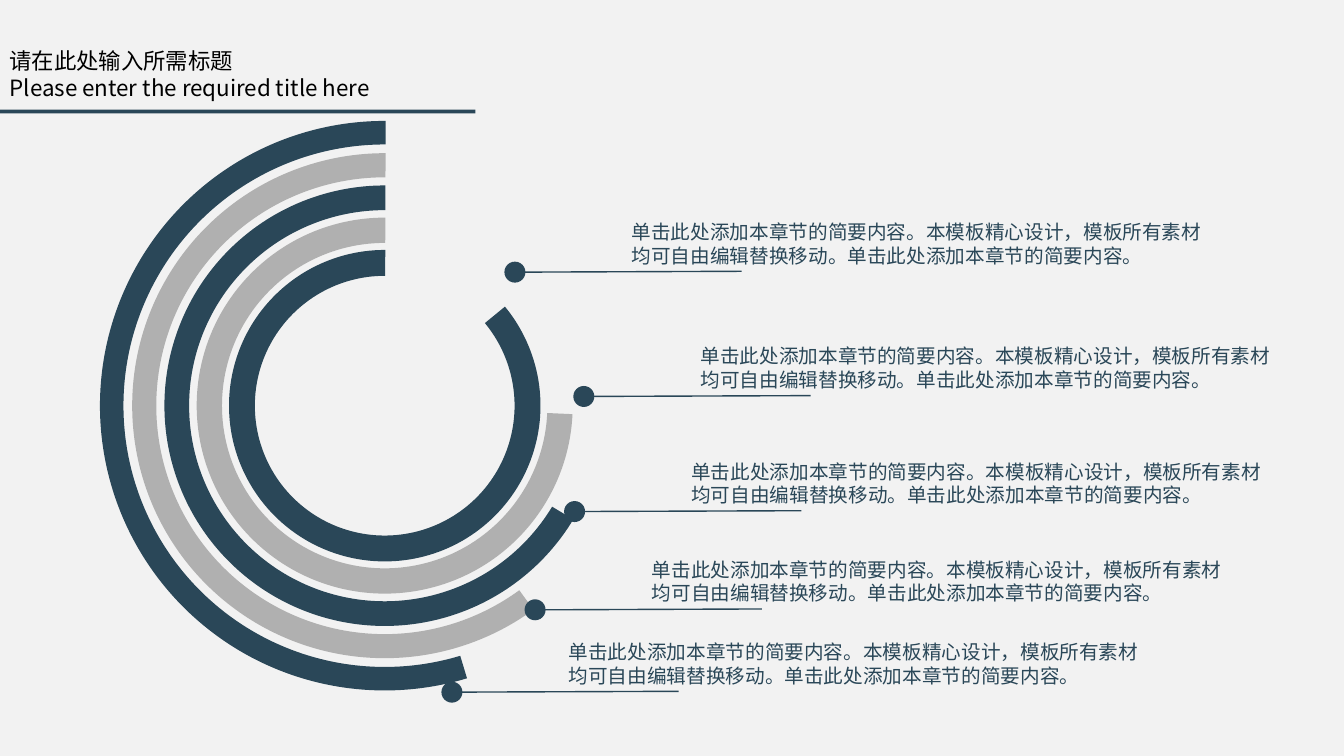
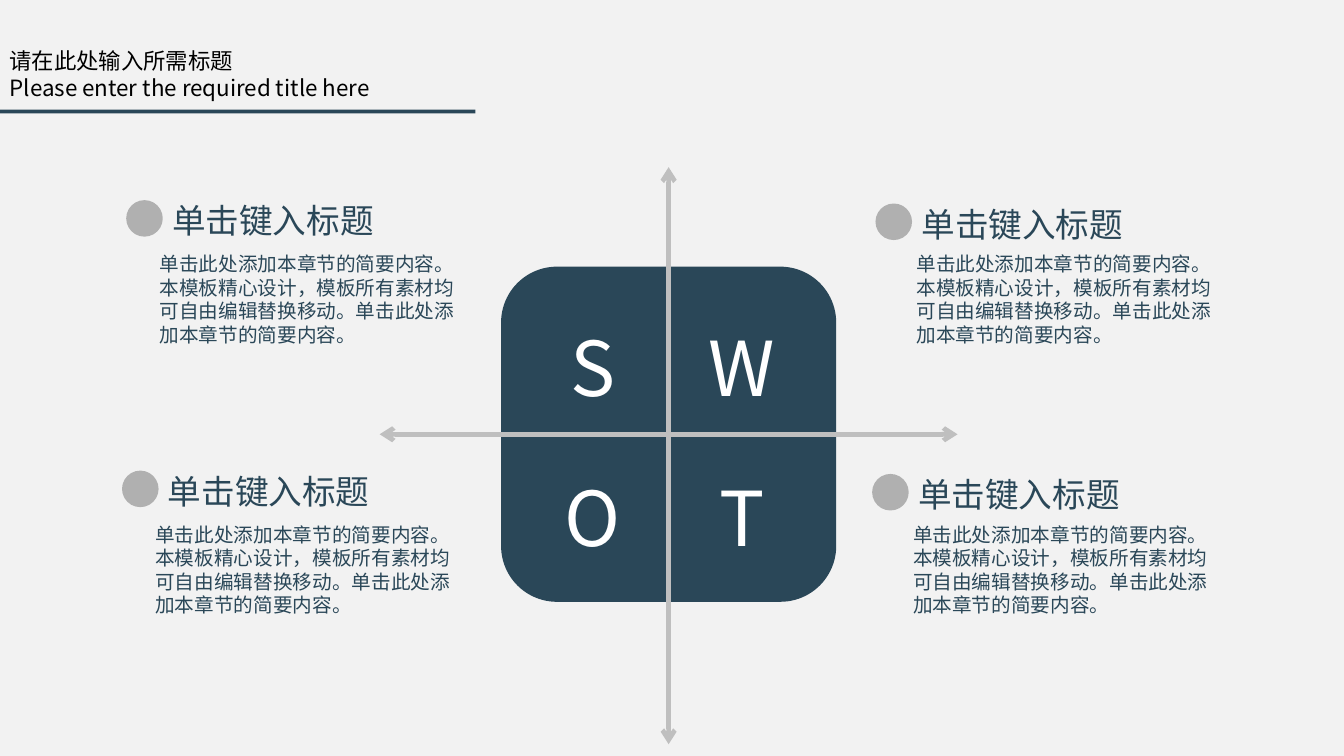
from dataclasses import dataclass

from pptx import Presentation
from pptx.dml.color import RGBColor
from pptx.enum.shapes import MSO_CONNECTOR as LINK, MSO_SHAPE as SHAPE
from pptx.enum.text import MSO_ANCHOR as ANCHOR, PP_ALIGN as ALIGN
from pptx.oxml.ns import qn
from pptx.util import Inches, Pt
from lxml.etree import SubElement as sub


@dataclass(frozen=True)
class Theme:
    back: str = "F2F2F2"
    dark: str = "2A4758"
    gray: str = "B0B0B0"
    axis: str = "BFBFBF"
    ink: str = "000000"
    white: str = "FFFFFF"
    font: str = "Noto Sans CJK SC"
    title: int = 16
    body: int = 14
    head: int = 24
    mark: int = 54
    lead: float = 1.2  # line pitch, in type sizes


T = Theme()
COLS, ROWS = 160, 90  # square cells over the whole slide
WIDE, HIGH = Inches(13.33), Inches(7.5)

TITLE = ["请在此处输入所需标题", "Please enter the required title here"]
HEAD = "单击键入标题"
BODY = ("单击此处添加本章节的简要内容。本模板精心设计，模板所有素材"
        "均可自由编辑替换移动。单击此处添加本章节的简要内容。")


def col(n):
    return round(WIDE * n / COLS)


def row(n):
    return round(HIGH * n / ROWS)


def rgb(code):
    return RGBColor.from_string(code)


# Kinds of element
def text(slide, x, y, w, h, lines, size=T.body, color=T.dark,
         align=ALIGN.LEFT, anchor=ANCHOR.TOP):
    frame = slide.shapes.add_textbox(col(x), row(y), col(w), row(h)).text_frame
    frame.word_wrap = True
    frame.vertical_anchor = anchor
    frame.margin_left = frame.margin_right = 0
    frame.margin_top = frame.margin_bottom = 0
    for i, line in enumerate(lines):
        para = frame.paragraphs[0] if i == 0 else frame.add_paragraph()
        para.alignment = align
        para.line_spacing = Pt(size * T.lead)
        run = para.add_run()
        run.text = line
        run.font.size, run.font.name = Pt(size), T.font
        run.font.color.rgb = rgb(color)
        sub(run.font._element, qn("a:ea"), typeface=T.font)


def shape(slide, kind, x, y, w, h, color):
    item = slide.shapes.add_shape(kind, col(x), row(y), col(w), row(h))
    item.shadow.inherit = False
    item.fill.solid()
    item.fill.fore_color.rgb = rgb(color)
    item.line.fill.background()
    return item


def disc(slide, cx, cy, size, color, kind=SHAPE.OVAL):
    return shape(slide, kind, cx - size / 2, cy - size / 2, size, size, color)


def ring(slide, cx, cy, size, band, start, color):
    arc = disc(slide, cx, cy, size, color, SHAPE.BLOCK_ARC)
    # angles are stored in 60000ths of a degree, read here in 100000ths
    arc.adjustments[0] = start * 0.6
    arc.adjustments[1] = 270.2 * 0.6
    arc.adjustments[2] = band / size


def line(slide, x1, y1, x2, y2, color, width, arrows=False):
    link = slide.shapes.add_connector(LINK.STRAIGHT, col(x1), row(y1),
                                      col(x2), row(y2))
    link.line.color.rgb = rgb(color)
    link.line.width = Pt(width)
    if arrows:
        for end in ("a:headEnd", "a:tailEnd"):
            sub(link.line._get_or_add_ln(), qn(end), type="arrow")
    sub(link._element.spPr, qn("a:effectLst"))


def page(deck):
    slide = deck.slides.add_slide(deck.slide_layouts[6])
    shape(slide, SHAPE.RECTANGLE, 0, 13.05, 56.6, 0.45, T.dark)
    text(slide, 1.15, 5.6, 50, 6.4, TITLE, size=T.title, color=T.ink)
    return slide


def note(slide, cx, cy):
    disc(slide, cx, cy, 2.5, T.dark)
    line(slide, cx, cy, cx + 27, cy - 0.1, T.dark, 1)
    text(slide, cx + 13.9, cy - 6.2, 69, 5.6, [BODY])


# Slides
def rings(deck):
    slide = page(deck)
    for i, start in enumerate([73.2, 53.9, 31.1, 2.6, 320.5]):
        ring(slide, 45.8, 48.3, 67.8 - 7.68 * i, 2.8 + 0.07 * i, start,
             T.gray if i % 2 else T.dark)
    for spot in [(61.3, 32.4), (69.5, 47.2), (68.4, 60.9),
                 (63.7, 72.6), (53.8, 82.4)]:
        note(slide, *spot)


def swot(deck):
    slide = page(deck)
    mx, my = 79.6, 51.7
    disc(slide, mx, my, 39.9, T.dark, SHAPE.ROUNDED_RECTANGLE)
    line(slide, 45.2, my, 114, my, T.axis, 3.25, arrows=True)
    line(slide, mx, 88.6, mx, 19.9, T.axis, 3.25, arrows=True)
    # letters, one to a quarter
    for i, mark in enumerate("SWOT"):
        down, right = divmod(i, 2)
        text(slide, 64.6 + 17.7 * right, 39.6 + 17.8 * down, 12, 8, [mark],
             size=T.mark, color=T.white, align=ALIGN.CENTER,
             anchor=ANCHOR.MIDDLE)
    # topics: dot, heading, body
    for cx, cy, inset, top in [(17.2, 26, 1.8, 30), (16.7, 58.2, 1.8, 62.2),
                               (106.4, 26.4, 2.7, 30),
                               (106, 58.6, 2.7, 62.2)]:
        disc(slide, cx, cy, 4.35, T.gray)
        text(slide, cx + 3.3, cy - 2.15, 30, 4.8, [HEAD], size=T.head)
        text(slide, cx + inset, top, 36, 11.2, [BODY])


def main():
    deck = Presentation()
    deck.slide_width, deck.slide_height = WIDE, HIGH
    fill = deck.slide_master.background.fill
    fill.solid()
    fill.fore_color.rgb = rgb(T.back)
    rings(deck)
    swot(deck)
    deck.save("out.pptx")


if __name__ == "__main__":
    main()
